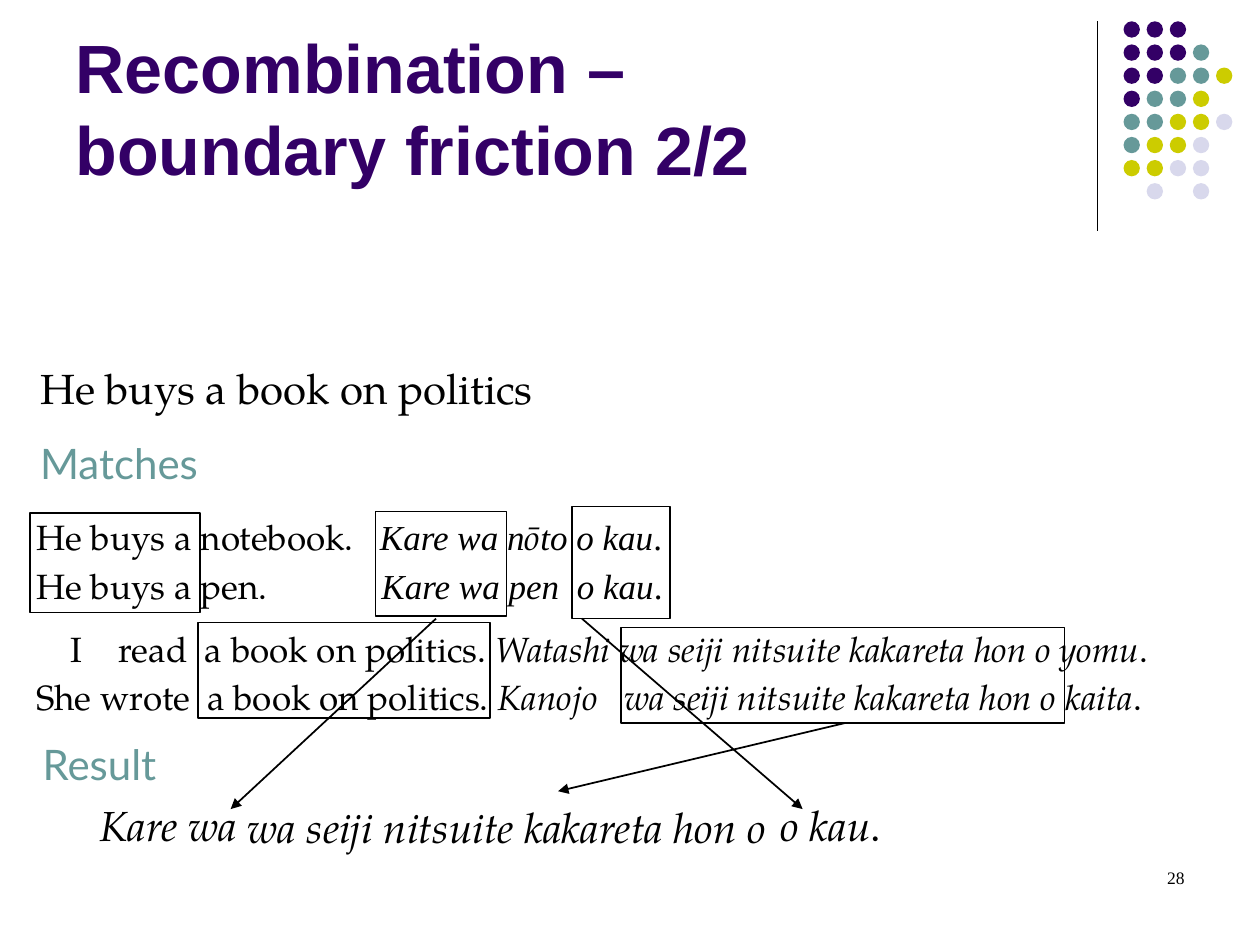
from pptx import Presentation
from pptx.dml.color import RGBColor
from pptx.enum.shapes import MSO_CONNECTOR as CONN, MSO_SHAPE as SHAPE
from pptx.enum.text import MSO_ANCHOR as ANCHOR, PP_ALIGN as ALIGN
from pptx.oxml.ns import qn
from pptx.util import Cm, Pt
from lxml.etree import SubElement

SERIF, SANS, TIMES = "TeX Gyre Pagella", "Lato", "Times New Roman"
PURPLE, TEAL, OLIVE, PALE, BLACK = "330066", "669999", "CCCC00", "D8D8EC", "000000"


def rgb(hex_code):
    return RGBColor.from_string(hex_code)


def add_run(p, text, size, font=SERIF, color=BLACK, italic=False, bold=False):
    r = p.add_run()
    r.text = text
    f = r.font
    f.size, f.name, f.italic, f.bold = Pt(size), font, italic, bold
    f.color.rgb = rgb(color)


def add_line(s, x, y, w, h, size, runs, tabs=(), color=BLACK, align=ALIGN.LEFT):
    """One line of text; runs are (text, font, italic), tabs are in cm."""
    tf = s.shapes.add_textbox(Cm(x), Cm(y), Cm(w), Cm(h)).text_frame
    tf.word_wrap = True
    p = tf.paragraphs[0]
    if tabs:
        stops = SubElement(p._p.get_or_add_pPr(), qn("a:tabLst"))
        for pos in tabs:
            SubElement(stops, qn("a:tab"), pos=str(int(Cm(pos))), algn="l")
    p.alignment = align
    for text, font, italic in runs:
        add_run(p, text, size, font, color, italic)


def add_rule(s, x1, y1, x2, y2, width=1, arrow=False):
    c = s.shapes.add_connector(CONN.STRAIGHT, Cm(x1), Cm(y1), Cm(x2), Cm(y2))
    c.line.color.rgb = rgb(BLACK)
    c.line.width = Pt(width)
    if arrow:
        SubElement(c.line._get_or_add_ln(), qn("a:tailEnd"), type="triangle")
    SubElement(c._element.spPr, qn("a:effectLst"))


def corner_dots(s, x, y):
    add_rule(s, x, y, x, y + 4.22, 0.75)
    colors = {"P": PURPLE, "T": TEAL, "O": OLIVE, "L": PALE}
    rows = ["PPP", "PPPT", "PPTTO", "PTTO", "TTOOL", "TOOL", "OOLL", " L L"]
    size, pitch = 0.33, 0.466
    for j, row in enumerate(rows):
        for i, key in enumerate(row):
            if key == " ":
                continue
            sp = s.shapes.add_shape(SHAPE.OVAL, Cm(x + 0.53 + i * pitch),
                                    Cm(y + j * pitch), Cm(size), Cm(size))
            sp.shadow.inherit = False
            sp.fill.solid()
            sp.fill.fore_color.rgb = rgb(colors[key])
            sp.line.fill.background()


def title(s, x, y, w, h):
    sp = s.shapes.title
    sp.left, sp.top, sp.width, sp.height = Cm(x), Cm(y), Cm(w), Cm(h)
    tf = sp.text_frame
    tf.vertical_anchor = ANCHOR.BOTTOM
    p = tf.paragraphs[0]
    p.alignment = ALIGN.LEFT
    add_run(p, "Recombination –", 39, "Arial", PURPLE, bold=True)
    p.add_line_break()
    add_run(p, "boundary friction 2/2", 39, "Arial", PURPLE, bold=True)


def matches(s, x, y, w):
    stop = (".", SERIF, False)
    times_stop = (".", TIMES, False)
    lines = [
        (0.06, [6.93], [("He buys a notebook.\t", SERIF, False), ("Kare wa n", TIMES, True),
                        ("ō", SERIF, True), ("to o kau", TIMES, True), times_stop]),
        (1.05, [6.96, 10.9], [("He buys a pen.\t", SERIF, False),
                              ("Kare wa pen\to kau", TIMES, True), times_stop]),
        (2.32, [0.69, 1.65, 3.4], [("\tI\tread\ta book on politics. ", SERIF, False),
                                   ("Watashi wa seiji nitsuite kakareta hon o yomu", SERIF, True),
                                   stop]),
        (3.29, [3.45, 11.86], [("She wrote\ta book on politics. ", SERIF, False),
                               ("Kanojo\twa seiji nitsuite kakareta hon o kaita", SERIF, True),
                               stop]),
    ]
    for dy, tabs, runs in lines:
        add_line(s, x, y + dy, w, 1.27, 20, runs, tabs)

    frames = [(0.13, 0.14, 3.43, 2.01), (7.09, 0.11, 2.64, 2.11), (11.05, 0.01, 1.98, 2.26),
              (3.51, 2.35, 5.89, 1.93), (12.04, 2.45, 8.94, 1.93)]
    for dx, dy, fw, fh in frames:
        sp = s.shapes.add_shape(SHAPE.RECTANGLE, Cm(x + dx), Cm(y + dy), Cm(fw), Cm(fh))
        sp.shadow.inherit = False
        sp.fill.background()
        sp.line.color.rgb = rgb(BLACK)
        sp.line.width = Pt(1)


def result(s, x, y):
    add_line(s, x, y, 19.13, 1.27, 24,
             [("Kare wa\to kau", SERIF, True), (".", SERIF, False)], [13.74])
    add_line(s, x + 3, y + 0.03, 11.4, 1.27, 24,
             [("wa seiji nitsuite kakareta hon o", SERIF, True)])


def arrows(s, x, y):
    """Lead from the matched fragments to their places in the result."""
    for x1, y1, x2, y2 in [(8.31, 2.27, 4.17, 6.11), (11.25, 2.27, 15.7, 6.11),
                           (16.54, 4.38, 10.77, 5.75)]:
        add_rule(s, x + x1, y + y1, x + x2, y + y2, arrow=True)


def main():
    prs = Presentation()
    prs.slide_width, prs.slide_height = Cm(25.4), Cm(19.05)
    s = prs.slides.add_slide(prs.slide_layouts[5])
    corner_dots(s, 22.12, 0.43)
    title(s, 1.27, 0.33, 20.96, 3.61)
    add_line(s, 0.56, 7.19, 20.12, 1.27, 24, [("He buys a book on politics", SERIF, False)])
    for label, x, y in [("Matches", 0.56, 8.69), ("Result", 0.61, 14.76)]:
        add_line(s, x, y, 6.78, 1.27, 24, [(label, SANS, False)], color=TEAL)
    matches(s, 0.48, 10.2, 24.03)
    result(s, 1.75, 16)
    arrows(s, 0.48, 10.2)
    add_line(s, 18.21, 17.35, 5.92, 1.27, 10, [("28", TIMES, False)], align=ALIGN.RIGHT)
    prs.save("out.pptx")


if __name__ == "__main__":
    main()
